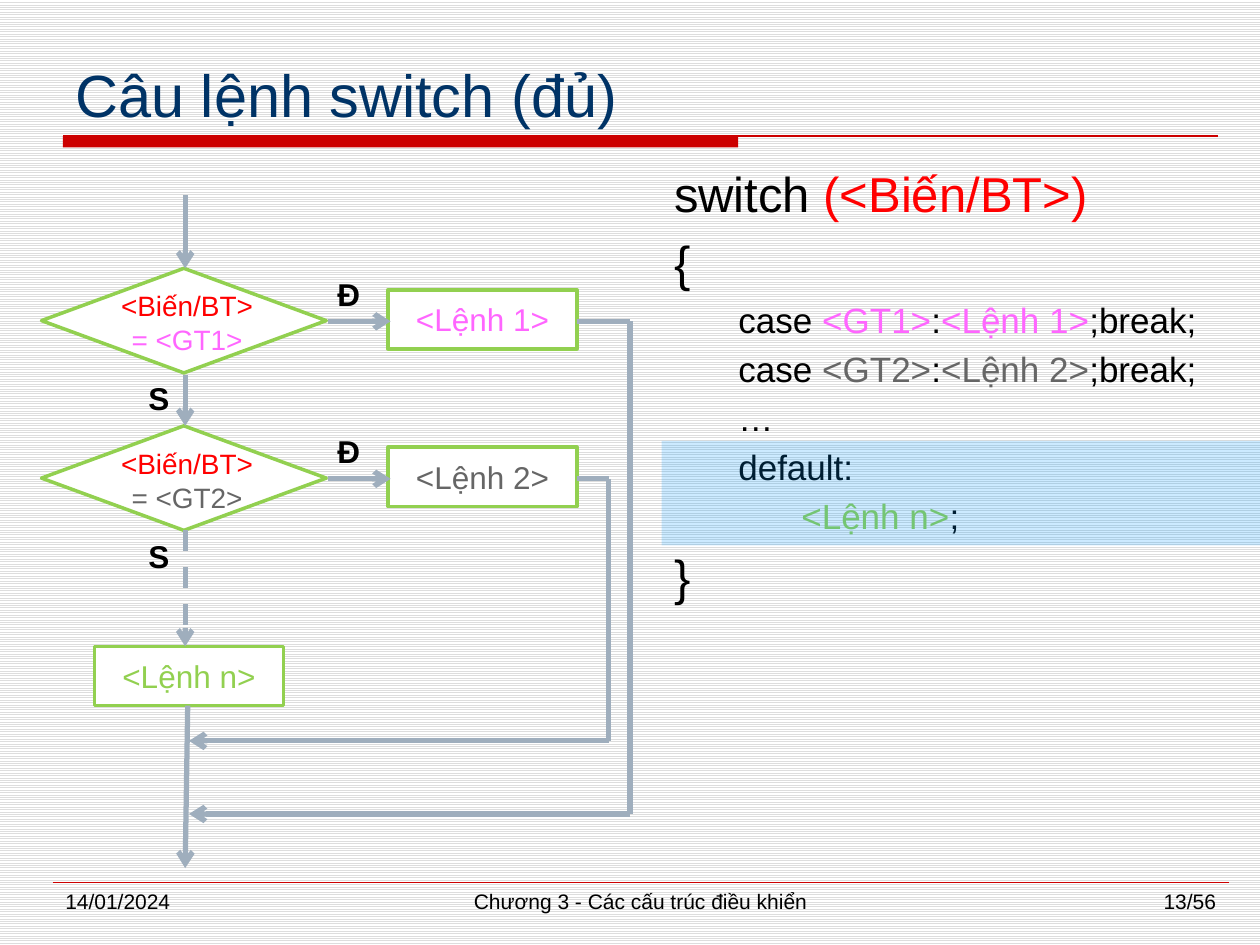
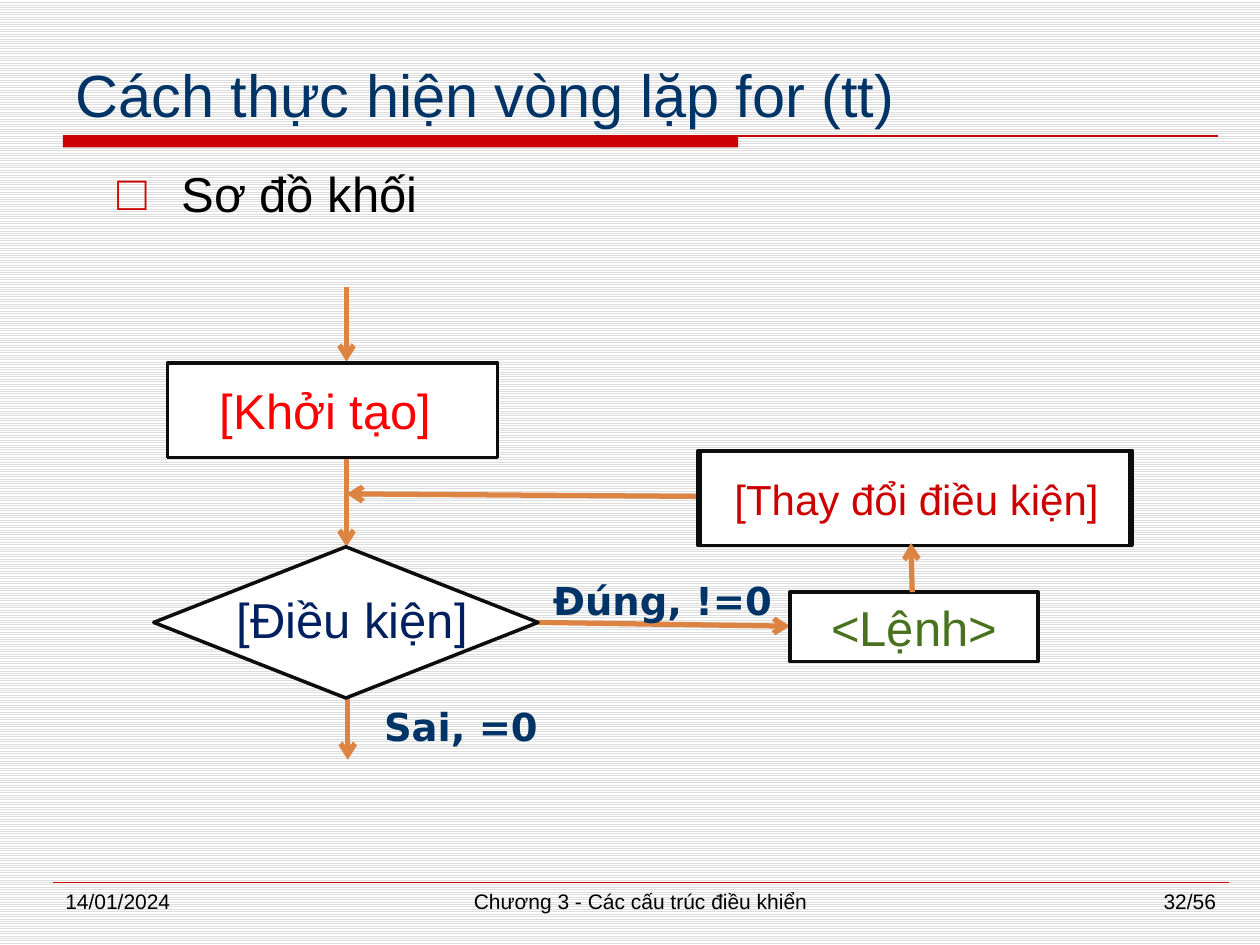
from dataclasses import dataclass
from itertools import pairwise

from lxml.etree import SubElement
from pptx import Presentation
from pptx.dml.color import RGBColor
from pptx.enum.dml import MSO_LINE, MSO_PATTERN
from pptx.enum.shapes import MSO_CONNECTOR, MSO_SHAPE
from pptx.enum.text import MSO_ANCHOR, MSO_AUTO_SIZE, PP_ALIGN
from pptx.oxml.ns import qn
from pptx.slide import Slide
from pptx.util import Inches, Pt

COLORS = {
    "paper": "FFFFFF", "stripe": "DDDDDD", "band": "CC0000", "title": "003366",
    "ink": "000000", "red": "FF0000", "pink": "FF66FF", "gray": "666666",
    "lime": "92D050", "steel": "9FAEBD", "highlight": "0099FF",
    "outline": "0D0D0D", "orange": "DD8443", "navy": "002060", "leaf": "49721E",
}
TITLE_BOX = (0.5, 0.33, 9.17, 0.75)
DATE = "14/01/2024"
CHAPTER = "Chương 3 - Các cấu trúc điều khiển"
PAGES = 56
HANGING = Inches(0.51)


def rgb(name):
    return RGBColor.from_string(COLORS[name])


def apply(target, **values):
    for name, value in values.items():
        setattr(target, name, value)


def place(shape, box):
    apply(shape, **dict(zip(("left", "top", "width", "height"), map(Inches, box))))


def add_runs(paragraph, runs, size, font="Arial", bold=False):
    """Add (text, colour name) pairs as runs of one size and font."""
    for text, color in runs:
        run = paragraph.add_run()
        run.text = text
        apply(run.font, size=Pt(size), name=font, bold=bold)
        run.font.color.rgb = rgb(color)


def write(frame, lines, size, align=PP_ALIGN.LEFT, anchor=MSO_ANCHOR.TOP,
          wrap=True, **font):
    """Fill a text frame with lines, each a list of (text, colour name)."""
    apply(frame, word_wrap=wrap, vertical_anchor=anchor,
          auto_size=MSO_AUTO_SIZE.NONE)
    for index, runs in enumerate(lines):
        paragraph = frame.add_paragraph() if index else frame.paragraphs[0]
        paragraph.alignment = align
        add_runs(paragraph, runs, size, **font)


@dataclass
class Region:
    """Part of a slide; every position is relative to its top left corner."""
    slide: Slide
    left: float
    top: float

    def box(self, left, top, width, height):
        return [Inches(v) for v in (self.left + left, self.top + top, width, height)]

    def shape(self, box, fill=None, outline=None, kind=MSO_SHAPE.RECTANGLE):
        shape = self.slide.shapes.add_shape(kind, *self.box(*box))
        shape.shadow.inherit = False
        if fill:
            shape.fill.solid()
            shape.fill.fore_color.rgb = rgb(fill)
        else:
            shape.fill.background()
        if outline:
            shape.line.color.rgb = rgb(outline)
            shape.line.width = Pt(2)
        else:
            shape.line.fill.background()
        return shape

    def text(self, box, lines, size, **style):
        frame = self.slide.shapes.add_textbox(*self.box(*box)).text_frame
        write(frame, lines, size, **style)

    def centered(self, box, lines, size):
        self.text(box, lines, size, align=PP_ALIGN.CENTER, anchor=MSO_ANCHOR.MIDDLE)

    def step(self, box, label, color, outline, size, fill="paper"):
        write(self.shape(box, fill, outline).text_frame, [[(label, color)]], size,
              align=PP_ALIGN.CENTER, anchor=MSO_ANCHOR.MIDDLE)

    def route(self, points, color, width=3, arrow=True, dash=None):
        """Join the points with straight lines; the last one gets the arrowhead."""
        for start, end in pairwise(points):
            ends = [Inches(v) for x, y in (start, end)
                    for v in (self.left + x, self.top + y)]
            line = self.slide.shapes.add_connector(MSO_CONNECTOR.STRAIGHT, *ends)
            line.line.color.rgb = rgb(color)
            apply(line.line, width=Pt(width), dash_style=dash)
            properties = line._element.spPr
            if arrow and end == points[-1]:
                SubElement(properties.find(qn("a:ln")), qn("a:tailEnd"), type="arrow")
            SubElement(properties, qn("a:effectLst"))


def stripe_master(master):
    fill = master.background.fill
    fill.patterned()
    fill.pattern = MSO_PATTERN.LIGHT_HORIZONTAL
    fill.fore_color.rgb = rgb("stripe")
    fill.back_color.rgb = rgb("paper")


def title_band(region):
    region.shape((0, 0, 5.36, 0.09), "band")
    region.route([(0, 0), (9.17, 0)], "band", width=1.5, arrow=False)


def footer(region, page):
    region.route([(0, 0), (9.33, 0)], "band", width=0.25, arrow=False)
    for left, width, text, align in (
        (0, 2.17, DATE, PP_ALIGN.LEFT),
        (2.5, 4.33, CHAPTER, PP_ALIGN.CENTER),
        (7.16, 2.17, f"{page}/{PAGES}", PP_ALIGN.RIGHT),
    ):
        region.text((left, 0, width, 0.35), [[(text, "ink")]], 12, align=align)


def add_page(deck, title, page):
    slide = deck.slides.add_slide(deck.slide_layouts[1])
    title_band(Region(slide, 0.5, 1.08))
    heading = slide.shapes.title
    place(heading, TITLE_BOX)
    write(heading.text_frame, [[(title, "title")]], 34, anchor=MSO_ANCHOR.BOTTOM)
    footer(Region(slide, 0.42, 7), page)
    return slide


def body_list(slide, box, lines, bullet=None):
    """Fill the body placeholder with (size, runs) lines on a hanging indent."""
    body = slide.placeholders[1]
    place(body, box)
    frame = body.text_frame
    apply(frame, auto_size=MSO_AUTO_SIZE.NONE, vertical_anchor=MSO_ANCHOR.TOP)
    for index, (size, runs) in enumerate(lines):
        paragraph = frame.add_paragraph() if index else frame.paragraphs[0]
        properties = paragraph._p.get_or_add_pPr()
        properties.set("marL", str(HANGING))
        properties.set("indent", str(-HANGING))
        if bullet:
            color = SubElement(properties, qn("a:buClr"))
            SubElement(color, qn("a:srgbClr"), val=COLORS["band"])
            SubElement(properties, qn("a:buFont"), typeface="Arial")
            SubElement(properties, qn("a:buChar"), char=bullet)
        else:
            SubElement(properties, qn("a:buNone"))
        paragraph.alignment = PP_ALIGN.JUSTIFY
        if index == 0:
            paragraph.space_before = Pt(0)
        add_runs(paragraph, runs, size)


def switch_code(slide, box):
    cases = [
        (20, [("\tcase ", "ink"), (f"<GT{n}>", color), (":", "ink"),
              (f"<Lệnh {n}>", color), (";break;", "ink")])
        for n, color in ((1, "pink"), (2, "gray"))
    ]
    body_list(slide, box, [
        (28, [("switch ", "ink"), ("(<Biến/BT>)", "red")]),
        (28, [("{", "ink")]),
        *cases,
        (20, [("\t…", "ink")]),
        (20, [("\tdefault:", "ink")]),
        (20, [("\t\t", "ink"), ("<Lệnh n>", "lime"), (";", "ink")]),
        (28, [("}", "ink")]),
    ])
    left, top = box[:2]
    default_mark = Region(slide, left, top).shape((0, 2.25, 4.75, 0.83), "highlight")
    tint = default_mark._element.spPr.find(f".//{qn('a:srgbClr')}")
    SubElement(tint, qn("a:alpha"), val="20000")


def case_row(region, n, color, exit_x, join_y):
    """One test of the switch: its question, its command and the way out."""
    middle = 0.42
    region.shape((0, 0, 2.26, 0.83), "paper", "lime", MSO_SHAPE.DIAMOND)
    region.centered((0.32, 0.22, 1.67, 0.42),
                    [[("<Biến/BT>", "red")], [(f"= <GT{n}>", color)]], 16)
    region.step((2.75, 0.17, 1.5, 0.47), f"<Lệnh {n}>", color, "lime", 18)
    region.route([(2.27, middle), (2.77, middle)], "steel")
    region.route([(4.25, middle), (exit_x, middle), (exit_x, join_y),
                  (1.17, join_y)], "steel")
    for label, left, top in (("Đ", 2.25, 0), ("S", 0.75, 0.83)):
        region.text((left, top, 0.41, 0.4), [[(label, "ink")]], 18,
                    wrap=False, bold=True)


def switch_flow(slide, left, top):
    flow = Region(slide, left, top)
    spine = 1.14
    first, pitch = 0.58, 1.25
    for i, (color, join_y) in enumerate((("pink", 4.91), ("gray", 4.33))):
        row_top = first + i * pitch
        case_row(Region(slide, left, top + row_top), i + 1, color,
                 4.67 - 0.17 * i, join_y - row_top)
    flow.step((0.42, 3.58, 1.5, 0.47), "<Lệnh n>", "lime", "lime", 18)
    flow.route([(spine, 0), (spine, first)], "steel")
    flow.route([(spine, 1.43), (spine, 1.83)], "steel")
    flow.route([(spine, 2.66), (spine, 3.58)], "steel", dash=MSO_LINE.DASH)
    flow.route([(1.16, 4.05), (spine, 5.34)], "steel")


def for_flow(slide, left, top):
    flow = Region(slide, left, top)
    for arrow in (
        [(1.53, 0), (1.53, 0.59)],
        [(1.53, 1.31), (1.53, 2.06)],
        [(1.54, 3.25), (1.54, 3.75)],
        [(4.32, 1.66), (1.53, 1.64)],
        [(3.05, 2.66), (5.05, 2.69)],
    ):
        flow.route(arrow, "orange")
    flow.shape((0.11, 0.6, 2.62, 0.75), "paper", "outline")
    flow.centered((0, 0.6, 2.73, 0.75), [[("[Khởi tạo]", "red")]], 28)
    flow.shape((0, 2.06, 3.05, 1.2), "paper", "outline", MSO_SHAPE.DIAMOND)
    flow.centered((0.46, 2.3, 2.23, 0.67), [[("[Điều kiện]", "navy")]], 28)
    flow.step((5.05, 2.42, 1.97, 0.55), "<Lệnh>", "leaf", "outline", 28)
    flow.shape((4.32, 1.3, 3.43, 0.75), "paper", "outline")
    flow.step((4.34, 1.3, 3.43, 0.75), "[Thay đổi điều kiện]", "band", "outline", 24,
              fill=None)
    flow.route([(6.02, 2.42), (6.01, 2.03)], "orange")
    for label, x, y in (("Đúng, !=0", 3.07, 2.25), ("Sai, =0", 1.73, 3.25)):
        flow.text((x, y, 1.94, 0.47), [[(label, "title")]], 22, wrap=False,
                  font="DejaVu Sans", bold=True)


def main():
    deck = Presentation()
    apply(deck, slide_width=Inches(10), slide_height=Inches(7.5))
    stripe_master(deck.slide_master)

    switch = add_page(deck, "Câu lệnh switch (đủ)", 13)
    switch_flow(switch, 0.33, 1.55)
    switch_code(switch, (5.25, 1.25, 4.55, 5.67))

    loop = add_page(deck, "Cách thực hiện vòng lặp for (tt)", 32)
    body_list(loop, (0.83, 1.25, 8.67, 5.67), [(28, [("Sơ đồ khối", "ink")])], "□")
    for_flow(loop, 1.22, 2.28)

    deck.save("out.pptx")


if __name__ == "__main__":
    main()
